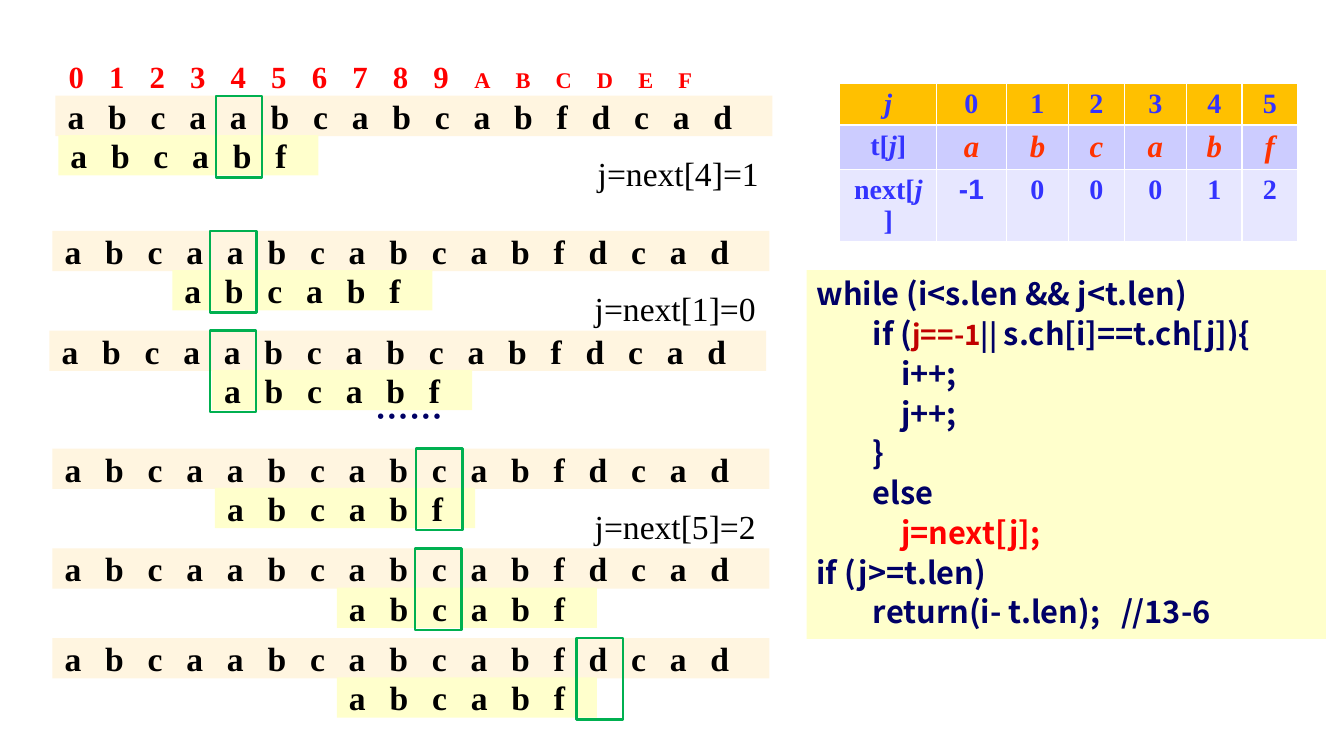
from lxml import etree
from pptx import Presentation
from pptx.dml.color import RGBColor
from pptx.enum.shapes import MSO_SHAPE
from pptx.enum.text import MSO_ANCHOR, PP_ALIGN
from pptx.oxml.ns import qn
from pptx.util import Inches, Pt

RECT = MSO_SHAPE.RECTANGLE
MIDDLE = MSO_ANCHOR.MIDDLE
LEFT, CENTER = PP_ALIGN.LEFT, PP_ALIGN.CENTER
SERIF, SANS, ARIAL = "Times New Roman", "Noto Sans CJK SC", "Arial"
BLACK, RED, NAVY, BLUE = "000000", "FF0000", "000066", "3333FF"
CREAM, YELLOW, GREEN = "FFF5E0", "FFFFCC", "00B050"
PITCH, ROW = 0.403, 0.4
TEXT, PATTERN = "abcaabcabcabfdcad", "abcabf"

# left, top, pattern shift and box place in letters, note
STEPS = [
    (0.55, 0.95, 0.07, 3.95, "j=next[4]=1"),
    (0.52, 2.29, 2.95, 3.88, "j=next[1]=0"),
    (0.49, 3.28, 4, 3.95, None),
    (0.52, 4.45, 4, 8.95, "j=next[5]=2"),
    (0.52, 5.44, 7, 8.93, None),
    (0.52, 6.33, 7, 12.9, None),
]

# indent level, runs of text, colour and size
CODE = [
    (0, [("while (i<s.len && j<t.len)", NAVY, 22)]),
    (2, [("if (", NAVY, 22), ("j==-1", "C00000", 20), ("|| ", NAVY, 20),
         ("s.ch[i]==t.ch[j]){", NAVY, 22)]),
    (3, [("i++;", NAVY, 22)]),
    (3, [("j++;", NAVY, 22)]),
    (2, [("}", NAVY, 22)]),
    (2, [("else", NAVY, 22)]),
    (3, [("j=next[j];", RED, 22)]),
    (0, [("if (j>=t.len)", NAVY, 22)]),
    (2, [("return(i- t.len);", NAVY, 22), (" ", NAVY, 22, 10),
         ("//13-6", NAVY, 22)]),
]


def paint(hue):
    """Turn a hex string into a colour."""
    return RGBColor.from_string(hue)


def write(para, text, hue, size, face=SERIF, bold=True, slant=False, gap=0):
    """Add one run to a paragraph."""
    run = para.add_run()
    run.text = text
    font = run.font
    font.name, font.size = face, Pt(size)
    font.bold, font.italic = bold, slant
    font.color.rgb = paint(hue)
    props = run._r.get_or_add_rPr()
    etree.SubElement(props, qn("a:ea"), typeface=face)
    if gap:
        props.set("spc", str(gap * 100))


def block(slide, left, top, width, height, fill=None, line=None):
    """Add a plain rectangle."""
    shape = slide.shapes.add_shape(
        RECT, Inches(left), Inches(top), Inches(width), Inches(height))
    shape.shadow.inherit = False
    if fill:
        shape.fill.solid()
        shape.fill.fore_color.rgb = paint(fill)
    else:
        shape.fill.background()
    if line:
        shape.line.color.rgb = paint(line)
        shape.line.width = Pt(1.75)
    else:
        shape.line.fill.background()
    return shape


def strip(slide, left, top, width, fill, runs):
    """Add a band of widely spaced letters."""
    frame = block(slide, left, top, width, ROW, fill).text_frame
    frame.margin_left = Inches(0.12)
    frame.margin_right = frame.margin_top = frame.margin_bottom = 0
    frame.vertical_anchor = MIDDLE
    frame.word_wrap = True
    para = frame.paragraphs[0]
    para.alignment = LEFT
    for text, hue, size, gap in runs:
        write(para, text, hue, size, gap=gap)


def label(slide, left, top, width, text, hue, face, bold):
    """Add a line of free text."""
    box = slide.shapes.add_textbox(
        Inches(left), Inches(top), Inches(width), Inches(0.5))
    box.text_frame.word_wrap = False
    write(box.text_frame.paragraphs[0], text, hue, 24, face, bold)


def match(slide, left, top, shift, place, note):
    """Draw one step of the search."""
    strip(slide, left, top, 7.11, CREAM, [(TEXT, BLACK, 24, 17)])
    strip(slide, left + shift * PITCH, top + 0.39, 2.58, YELLOW,
          [(PATTERN, BLACK, 24, 17)])
    block(slide, left + place * PITCH, top, 0.46, 0.81, line=GREEN)
    if note:
        label(slide, left + 5.28, top + 0.52, 1.81, note, BLACK, SERIF, False)


def listing(slide):
    """Add the code panel."""
    frame = block(slide, 8, 2.68, 5.15, 3.66, YELLOW).text_frame
    frame.word_wrap = True
    frame.vertical_anchor = MSO_ANCHOR.TOP
    for num, (level, runs) in enumerate(CODE):
        para = frame.add_paragraph() if num else frame.paragraphs[0]
        para.alignment = LEFT
        para.space_before = Pt(2)
        para.line_spacing = Pt(26.4)
        para._p.get_or_add_pPr().set("marL", str(Inches(0.28 * level)))
        for text, hue, size, *gap in runs:
            write(para, text, hue, size, SANS, gap=sum(gap))


def grid(slide):
    """Add the table of next values."""
    wide = [0.96, 0.69, 0.62, 0.55, 0.62, 0.55, 0.55]
    rows = [
        ("FFC000", ["", "j", ""], "012345", BLUE, 20, False),
        ("CCCCFF", ["t[", "j", "]"], PATTERN, "FF3300", 22, True),
        ("E7E7FF", ["next[", "j", "]"], ["-1", *"00012"], BLUE, 20, False),
    ]
    table = slide.shapes.add_table(
        3, 7, Inches(8.33), Inches(0.83), Inches(4.54), Inches(1.23)).table
    for col, size in zip(table.columns, wide):
        col.width = Inches(size)
    for row, (fill, head, vals, hue, size, slant) in zip(table.rows, rows):
        row.height = Inches(0.41)
        for cell in row.cells:
            cell.fill.solid()
            cell.fill.fore_color.rgb = paint(fill)
            cell.text_frame.paragraphs[0].alignment = CENTER
        first, *rest = row.cells
        for part in filter(None, head):
            write(first.text_frame.paragraphs[0], part, BLUE, 20,
                  slant=part == "j")
        for cell, val in zip(rest, vals):
            face = ARIAL if val == "-1" else SERIF
            write(cell.text_frame.paragraphs[0], val, hue, size, face,
                  slant=slant)


def main():
    """Build the slide and save it."""
    deck = Presentation()
    deck.slide_width, deck.slide_height = Inches(13.33), Inches(7.5)
    slide = deck.slides.add_slide(deck.slide_layouts[6])
    strip(slide, 0.56, 0.56, 7.04, "FFFFFF",
          [("0123456789", RED, 22, 18), ("ABCDEF", RED, 16, 18)])
    listing(slide)
    grid(slide)
    for step in STEPS:
        match(slide, *step)
    label(slide, 3.63, 3.88, 0.95, "……", NAVY, SANS, True)


    deck.save("out.pptx")


if __name__ == "__main__":
    main()
